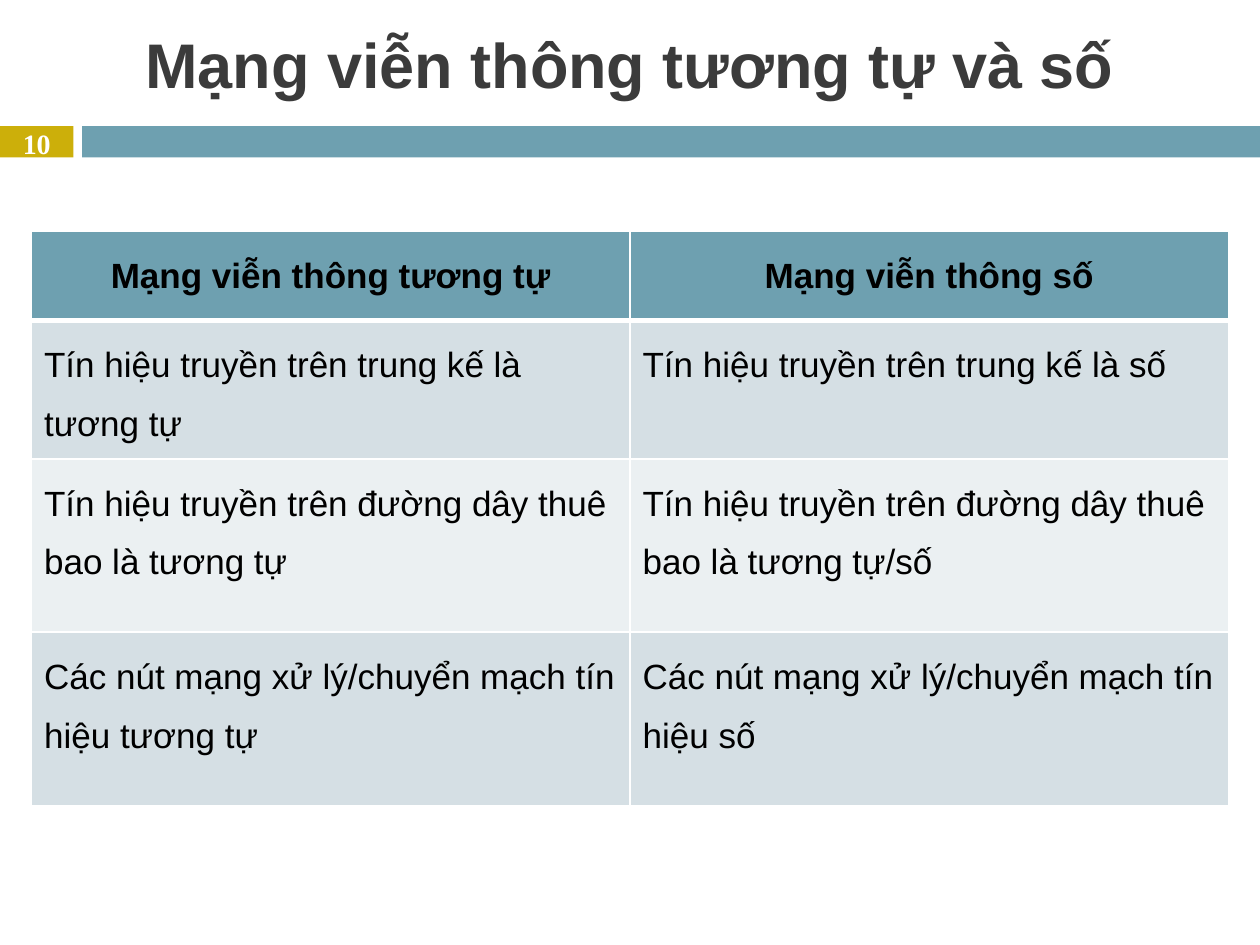
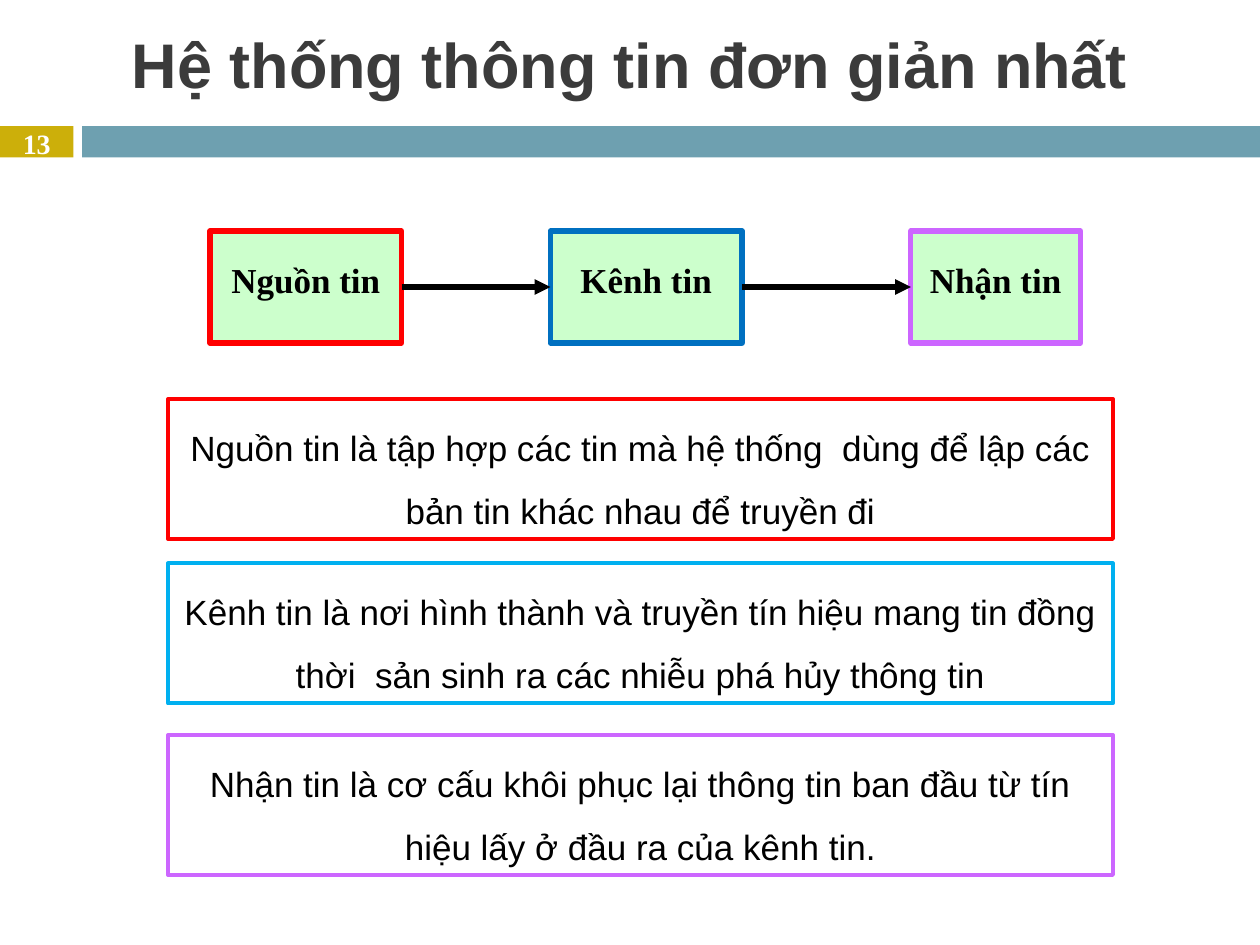
from dataclasses import dataclass

from lxml.etree import SubElement
from pptx import Presentation
from pptx.dml.color import RGBColor
from pptx.enum.shapes import MSO_CONNECTOR as Link, MSO_SHAPE as Form
from pptx.enum.text import MSO_ANCHOR as Anchor, PP_ALIGN as Align
from pptx.oxml.ns import qn
from pptx.util import Pt


@dataclass(frozen=True)
class Theme:
    white: str = "FFFFFF"
    black: str = "000000"
    title: str = "3B3B3B"
    gold: str = "CCAF0A"
    teal: str = "6EA0B0"
    dark_row: str = "D5DFE4"
    light_row: str = "EBF0F2"
    mint: str = "CCFFCC"
    red: str = "FF0000"
    blue: str = "0070C0"
    sky: str = "00B0F0"
    violet: str = "CC66FF"
    sans: str = "Arial"
    serif: str = "Times New Roman"
    head_size: int = 36
    body_size: int = 20
    page_size: int = 16


THEME = Theme()
WIDTH, HEIGHT = 720, 540
BAND_TOP, BAND_HIGH, TAB_WIDE, BAND_LEFT = 72, 18, 42, 47

ROWS = [
    ("Mạng viễn thông tương tự", "Mạng viễn thông số"),
    ("Tín hiệu truyền trên trung kế là tương tự",
     "Tín hiệu truyền trên trung kế là số"),
    ("Tín hiệu truyền trên đường dây thuê bao là tương tự",
     "Tín hiệu truyền trên đường dây thuê bao là tương tự/số"),
    ("Các nút mạng xử lý/chuyển mạch tín hiệu tương tự",
     "Các nút mạng xử lý/chuyển mạch tín hiệu số"),
]
ROW_HIGHS = (51, 74, 99, 99)

# name, left, width, outline
BLOCKS = [
    ("Nguồn tin", 120, 109.5, THEME.red),
    ("Kênh tin", 314.5, 109.5, THEME.blue),
    ("Nhận tin", 520.5, 97, THEME.violet),
]

# text, top, outline
NOTES = [
    ("Nguồn tin là tập hợp các tin mà hệ thống  dùng để lập các bản tin "
     "khác nhau để truyền đi", 228, THEME.red),
    ("Kênh tin là nơi hình thành và truyền tín hiệu mang tin đồng thời  "
     "sản sinh ra các nhiễu phá hủy thông tin", 322, THEME.sky),
    ("Nhận tin là cơ cấu khôi phục lại thông tin ban đầu từ tín hiệu lấy "
     "ở đầu ra của kênh tin.", 420, THEME.violet),
]


def rgb(code):
    return RGBColor.from_string(code)


def put(frame, text, size=THEME.body_size, font=THEME.sans, color=THEME.black,
        bold=False, align=Align.CENTER, anchor=Anchor.TOP, pitch=1.5):
    """Fill a text frame with one formatted paragraph."""
    frame.text = text
    frame.word_wrap = True
    frame.vertical_anchor = anchor
    para = frame.paragraphs[0]
    para.alignment, para.line_spacing = align, pitch
    face = para.runs[0].font
    face.name, face.size, face.bold = font, Pt(size), bold
    face.color.rgb = rgb(color)


def box(slide, left, top, wide, high, fill, line=None, weight=0):
    shape = slide.shapes.add_shape(
        Form.RECTANGLE, Pt(left), Pt(top), Pt(wide), Pt(high))
    shape.shadow.inherit = False
    shape.fill.solid()
    shape.fill.fore_color.rgb = rgb(fill)
    if line:
        shape.line.color.rgb = rgb(line)
        shape.line.width = Pt(weight)
    else:
        shape.line.fill.background()
    return shape


def arrow(slide, start, end):
    """Join the right side of one box to the left side of the next."""
    link = slide.shapes.add_connector(Link.STRAIGHT, 0, 0, 0, 0)
    link.begin_connect(start, 3)
    link.end_connect(end, 1)
    link.line.color.rgb = rgb(THEME.black)
    link.line.width = Pt(3)
    SubElement(link.line._get_or_add_ln(), qn("a:tailEnd"), type="triangle")
    SubElement(link._element.spPr, qn("a:effectLst"))


def edge(cell, base):
    """Draw white cell borders, with the given weight at the bottom."""
    props = cell._tc.get_or_add_tcPr()
    for side, weight in zip("LRTB", (1, 1, 1, base)):
        line = SubElement(props, qn("a:ln" + side), w=str(Pt(weight)))
        fill = SubElement(line, qn("a:solidFill"))
        SubElement(fill, qn("a:srgbClr"), val=THEME.white)


def grid(slide, rows, highs, left, top, wide):
    table = slide.shapes.add_table(
        len(rows), len(rows[0]), Pt(left), Pt(top), Pt(wide),
        Pt(sum(highs))).table
    for r, (texts, high) in enumerate(zip(rows, highs)):
        table.rows[r].height = Pt(high)
        head = r == 0
        fill = (THEME.teal if head
                else THEME.dark_row if r % 2 else THEME.light_row)
        for c, text in enumerate(texts):
            cell = table.cell(r, c)
            # The header rule is shared with the top of the first body row.
            edge(cell, 3 if head else 1)
            if r == 1:
                cell._tc.tcPr.find(qn("a:lnT")).set("w", str(Pt(3)))
            cell.fill.solid()
            cell.fill.fore_color.rgb = rgb(fill)
            put(cell.text_frame, text, bold=head,
                align=Align.CENTER if head else Align.LEFT)


def page(deck, title, number):
    """Add a slide with the shared title, bands and page number."""
    slide = deck.slides.add_slide(deck.slide_layouts[5])
    box(slide, 0, BAND_TOP, TAB_WIDE, BAND_HIGH, THEME.gold)
    box(slide, BAND_LEFT, BAND_TOP, WIDTH - BAND_LEFT, BAND_HIGH, THEME.teal)
    head = slide.shapes.title
    head.left, head.top, head.width, head.height = 0, Pt(6), Pt(WIDTH), Pt(60)
    put(head.text_frame, title, size=THEME.head_size, color=THEME.title,
        bold=True, anchor=Anchor.MIDDLE, pitch=1)
    label = slide.shapes.add_textbox(0, Pt(BAND_TOP), Pt(TAB_WIDE), Pt(19.5))
    frame = label.text_frame
    frame.margin_top = frame.margin_bottom = 0
    put(frame, str(number), size=THEME.page_size, font=THEME.serif,
        color=THEME.white, bold=True, anchor=Anchor.MIDDLE, pitch=1)
    return slide


def flow(slide, blocks, top, high):
    """Draw a row of named boxes joined by arrows."""
    shapes = []
    for name, left, wide, line in blocks:
        shape = box(slide, left, top, wide, high, THEME.mint, line, 3)
        put(shape.text_frame, name, font=THEME.serif, bold=True)
        shapes.append(shape)
    for start, end in zip(shapes, shapes[1:]):
        arrow(slide, start, end)


def main():
    deck = Presentation()
    deck.slide_width, deck.slide_height = Pt(WIDTH), Pt(HEIGHT)

    slide = page(deck, "Mạng viễn thông tương tự và số", 10)
    grid(slide, ROWS, ROW_HIGHS, 18, 132, 684)

    slide = page(deck, "Hệ thống thông tin đơn giản nhất", 13)
    flow(slide, BLOCKS, 132, 64)
    for text, top, line in NOTES:
        note = box(slide, 96, top, 540, 80, THEME.white, line, 2.25)
        put(note.text_frame, text)

    deck.save("out.pptx")


if __name__ == "__main__":
    main()
